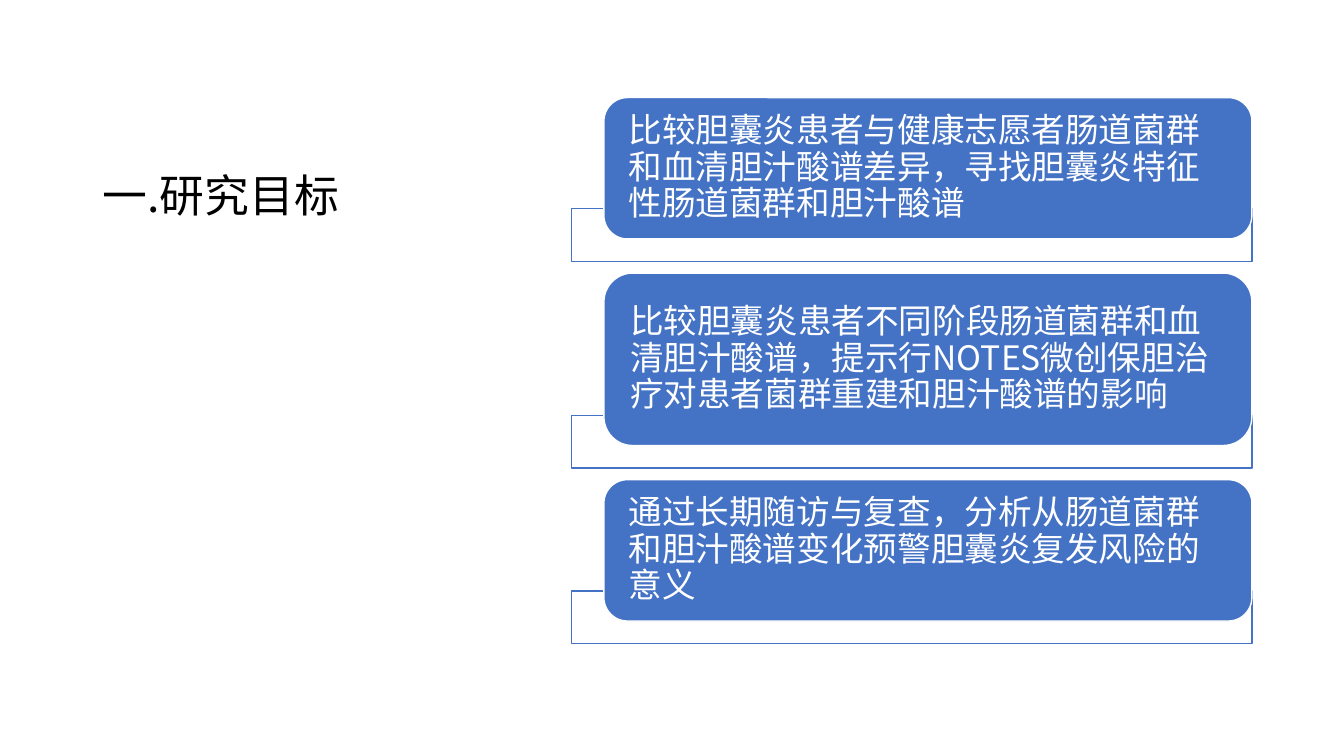
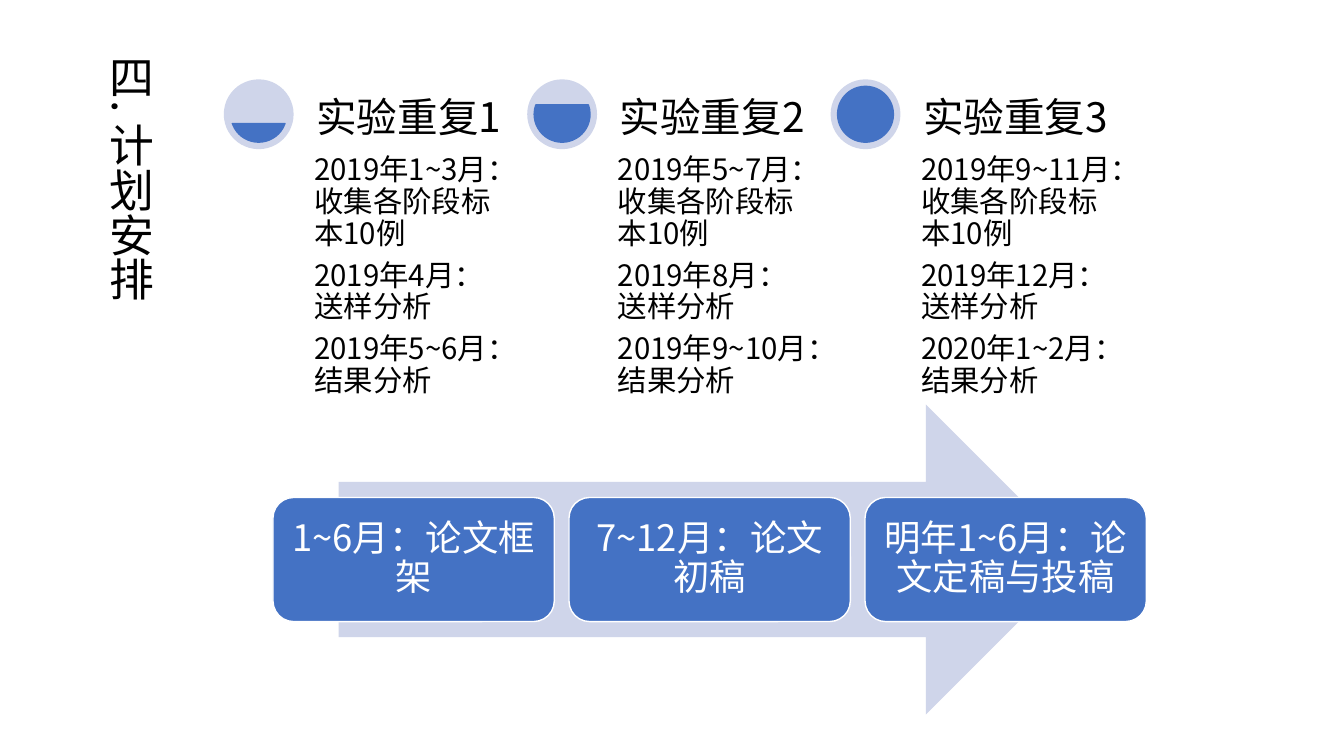
from dataclasses import dataclass
from math import asin, degrees

from lxml.etree import SubElement
from pptx import Presentation
from pptx.dml.color import RGBColor
from pptx.enum.shapes import MSO_SHAPE as SHAPE
from pptx.enum.text import MSO_ANCHOR as ANCHOR, MSO_AUTO_SIZE as AUTO, PP_ALIGN as ALIGN
from pptx.oxml.ns import qn
from pptx.util import Cm, Pt


@dataclass(frozen=True)
class Theme:
    """Colours, font and type sizes shared by the slides."""
    font: str = "Noto Sans CJK SC"
    ink: str = "000000"
    paper: str = "FFFFFF"
    accent: str = "4472C4"
    pale: str = "CFD5EA"
    title: int = 32
    heading: int = 29
    milestone: int = 26
    goal: int = 24
    detail: int = 21


T = Theme()
TITLE_ONLY = 5


def rgb(code):
    """Turn a hex code into a colour."""
    return RGBColor.from_string(code)


def lengths(box):
    """Turn a box of left, top, width and height in cm into lengths."""
    return [Cm(v) for v in box]


def write(sp, lines, size, color, anchor=ANCHOR.TOP, align=ALIGN.LEFT,
          inset=(0.25, 0.13), gap=0):
    """Fill a shape with paragraphs; inset is horizontal, vertical in cm."""
    tf = sp.text_frame
    tf.text = "\n".join(lines)
    tf.word_wrap = True
    tf.auto_size = AUTO.NONE
    tf.vertical_anchor = anchor
    tf.margin_left = tf.margin_right = Cm(inset[0])
    tf.margin_top = tf.margin_bottom = Cm(inset[1])
    for p in tf.paragraphs:
        p.alignment = align
        p.line_spacing = 0.9
        p.space_before = Pt(0)
        p.space_after = Pt(gap)
        p.font.size = Pt(size)
        p.font.color.rgb = rgb(color)
        p.font.name = T.font
        props = p._p.pPr.find(qn("a:defRPr"))
        SubElement(props, qn("a:ea"), typeface=T.font)


def add_shape(slide, kind, box, fill, line=None):
    """Add a flat preset shape, outlined when a line colour is given."""
    sp = slide.shapes.add_shape(kind, *lengths(box))
    sp.shadow.inherit = False
    sp.fill.solid()
    sp.fill.fore_color.rgb = rgb(fill)
    if line:
        sp.line.color.rgb = rgb(line)
        sp.line.width = Pt(1)
    else:
        sp.line.fill.background()
    return sp


def add_label(slide, box, lines, size, **style):
    """Add a text box in the ink colour."""
    sp = slide.shapes.add_textbox(*lengths(box))
    write(sp, lines, size, T.ink, **style)


def add_card(slide, box, text, size, **style):
    """Add an accent rounded card with white text."""
    sp = add_shape(slide, SHAPE.ROUNDED_RECTANGLE, box, T.accent, T.paper)
    write(sp, [text], size, T.paper, anchor=ANCHOR.MIDDLE, **style)


def add_titled_slide(prs, text, box, vertical=False):
    """Add a title-only slide with its title placed in the box."""
    slide = prs.slides.add_slide(prs.slide_layouts[TITLE_ONLY])
    title = slide.shapes.title
    title.left, title.top, title.width, title.height = lengths(box)
    write(title, [text], T.title, T.ink, anchor=ANCHOR.BOTTOM)
    if vertical:
        title.text_frame._txBody.bodyPr.set("vert", "eaVert")
    return slide


def add_goals(slide, box, goals):
    """Stack goal cards, each with a frame peeking out below it."""
    left, top, width, height = box
    indent, gap, frame_h, overlap = 0.82, 0.86, 1.33, 0.76
    last_tail = frame_h - overlap
    unit = (height - gap * (len(goals) - 1) - last_tail) / sum(w for _, w in goals)
    for text, weight in goals:
        card_h = unit * weight
        frame_top = top + card_h - overlap
        add_shape(slide, SHAPE.RECTANGLE, (left, frame_top, width, frame_h),
                  T.paper, T.accent)
        add_card(slide, (left + indent, top, width - indent, card_h), text,
                 T.goal, inset=(0.45, 0))
        top += card_h + gap


def add_gauge(slide, left, top, size, level):
    """Draw a round gauge filled from the bottom to a level of 0 to 1."""
    rim = size / 10
    add_shape(slide, SHAPE.OVAL, (left, top, size, size), T.pale)
    bowl = (left + rim, top + rim, size - 2 * rim, size - 2 * rim)
    sp = add_shape(slide, SHAPE.CHORD, bowl, T.accent, T.accent)
    angle = degrees(asin(1 - 2 * level))
    for i, a in enumerate((angle, 180 - angle)):
        sp.adjustments[i] = a % 360 * 0.6  # 60000 units a degree, over 100000


def add_rounds(slide, box, rounds):
    """Set the experiment rounds side by side under progress gauges."""
    left, top, width, height = box
    size, offset, gap = 1.76, 2.13, 0.36
    col_w = (width - gap * (len(rounds) - 1)) / len(rounds)
    for i, (heading, details) in enumerate(rounds):
        x = left + i * (col_w + gap)
        text_w = col_w - offset
        add_gauge(slide, x, top, size, (i + 1) / len(rounds))
        add_label(slide, (x + offset, top + size, text_w, height - size), details,
                  T.detail, inset=(0.15, 0.15), gap=0.35 * T.detail)
        add_label(slide, (x + offset, top, text_w, size), [heading], T.heading,
                  anchor=ANCHOR.BOTTOM, inset=(0.2, 0.2))


def add_milestones(slide, box, milestones):
    """Lay milestone cards in a row over a broad arrow."""
    left, top, width, height = box
    gap, card_h, arrow_w = 0.37, 0.4 * height, 0.85 * width
    add_shape(slide, SHAPE.RIGHT_ARROW,
              (left + (width - arrow_w) / 2, top, arrow_w, height), T.pale)
    card_w = (width - gap * (len(milestones) - 1)) / len(milestones)
    for i, text in enumerate(milestones):
        add_card(slide, (left + i * (card_w + gap), top + (height - card_h) / 2,
                         card_w, card_h),
                 text, T.milestone, align=ALIGN.CENTER, inset=(0.28, 0.28))


def goals_slide(prs):
    """Build the slide of research goals."""
    slide = add_titled_slide(prs, "一.研究目标", (2.33, 1.27, 10.92, 4.45))
    add_goals(slide, (14.4, 2.46, 17.15, 13.76), [
        ("比较胆囊炎患者与健康志愿者肠道菌群和血清胆汁酸谱差异，"
         "寻找胆囊炎特征性肠道菌群和胆汁酸谱", 1),
        ("比较胆囊炎患者不同阶段肠道菌群和血清胆汁酸谱，"
         "提示行NOTES微创保胆治疗对患者菌群重建和胆汁酸谱的影响", 1.22),
        ("通过长期随访与复查，分析从肠道菌群和胆汁酸谱变化"
         "预警胆囊炎复发风险的意义", 1),
    ])


def schedule_slide(prs):
    """Build the slide of the schedule."""
    slide = add_titled_slide(prs, "四. 计划安排", (2.33, 1.27, 3.3, 9.83), vertical=True)
    months = [
        ("2019年1~3月", "2019年4月", "2019年5~6月"),
        ("2019年5~7月", "2019年8月", "2019年9~10月"),
        ("2019年9~11月", "2019年12月", "2020年1~2月"),
    ]
    tasks = ("收集各阶段标本10例", "送样分析", "结果分析")
    rounds = [(f"实验重复{n}", [f"{m}：{task}" for m, task in zip(row, tasks)])
              for n, row in enumerate(months, 1)]
    add_milestones(slide, (6.88, 10.19, 22.01, 7.82),
                   ["1~6月：论文框架", "7~12月：论文初稿", "明年1~6月：论文定稿与投稿"])
    add_rounds(slide, (5.64, 2, 22.58, 9.1), rounds)


def main():
    """Build and save the deck."""
    prs = Presentation()
    prs.slide_width, prs.slide_height = Cm(33.87), Cm(19.05)
    goals_slide(prs)
    schedule_slide(prs)
    prs.save("out.pptx")


main()
